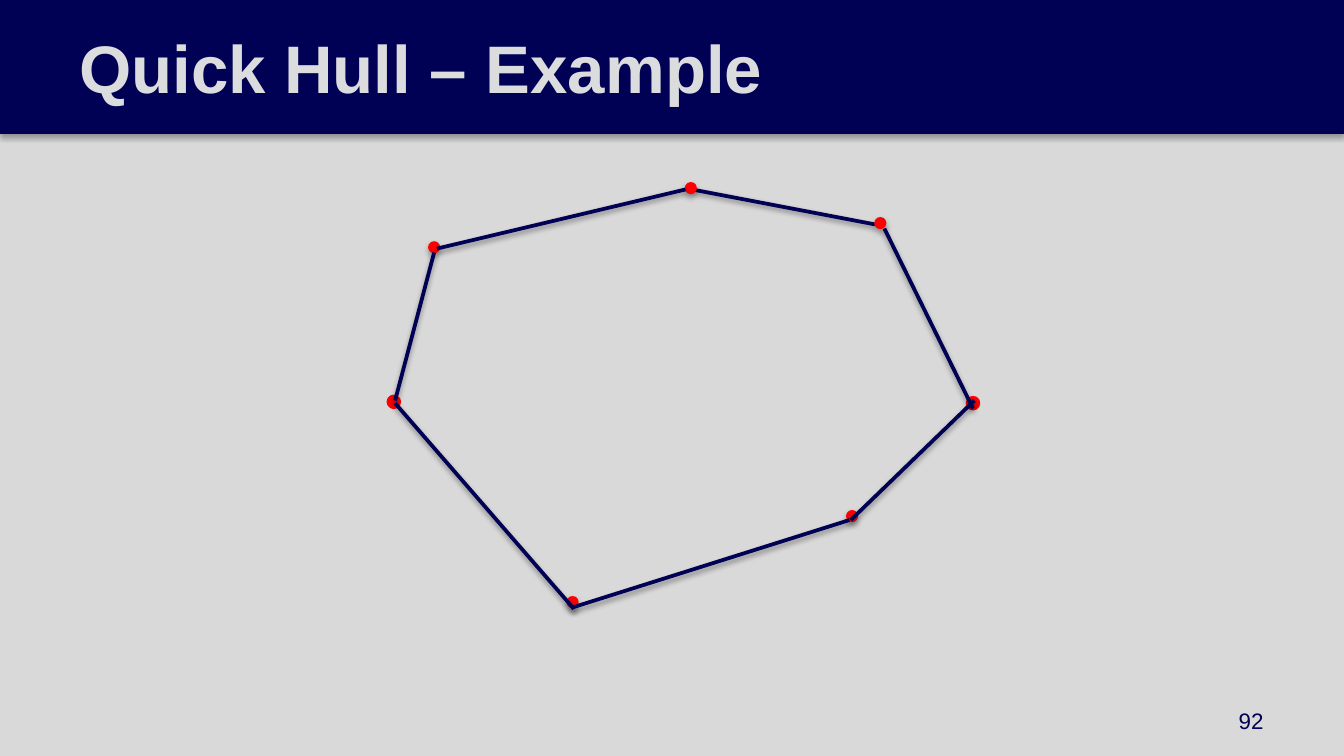
"""Build the Quick Hull example slide with its finished convex hull."""
from lxml import etree
from pptx import Presentation
from pptx.dml.color import RGBColor
from pptx.enum.shapes import MSO_CONNECTOR, MSO_SHAPE
from pptx.enum.text import MSO_ANCHOR, MSO_AUTO_SIZE, PP_ALIGN
from pptx.oxml.ns import qn
from pptx.util import Inches, Pt

STRAIGHT = MSO_CONNECTOR.STRAIGHT
RECTANGLE, OVAL = MSO_SHAPE.RECTANGLE, MSO_SHAPE.OVAL
MIDDLE = MSO_ANCHOR.MIDDLE
LEFT, RIGHT = PP_ALIGN.LEFT, PP_ALIGN.RIGHT

TITLE = "Quick Hull – Example"
PAGE_NUMBER = "92"
FONT = "Arial"
COLORS = {"background": "D9D9D9", "navy": "000054", "band_line": "000052",
          "title": "DBDCDD", "point": "FF0000", "shadow": "000000"}
WIDTH = 10
HEIGHT = WIDTH * 9 / 16
BAND_HEIGHT = 0.99
POINT_SIZE = 0.08
SHAPE_SHADOW = {"opacity": 35, "blur": 3.1, "distance": 1.8}
EDGE_SHADOW = {"opacity": 38, "blur": 3.1, "distance": 1.6}

INNER_POINTS = [(3.19, 1.8), (6.51, 1.62), (5.1, 1.36), (4.22, 4.44), (6.3, 3.8)]
EXTREME_POINTS = [(2.89, 2.95), (7.2, 2.96)]
EDGES_BELOW_POINTS = [((6.51, 1.67), (5.15, 1.41))]
EDGES_ABOVE_POINTS = [
    ((7.25, 2.98), (6.33, 3.87)),
    ((3.23, 1.88), (2.94, 2.98)),
    ((6.58, 1.7), (7.24, 3.04)),
    ((5.1, 1.41), (3.25, 1.85)),
    ((2.94, 3), (4.27, 4.53)),
    ((6.32, 3.87), (4.26, 4.52)),
]


def color(name):
    return RGBColor.from_string(COLORS[name])


def add_shadow(shape, opacity, blur, distance):
    effects = etree.SubElement(shape._element.spPr, qn("a:effectLst"))
    shadow = etree.SubElement(
        effects, qn("a:outerShdw"), blurRad=str(Pt(blur)), dist=str(Pt(distance)),
        dir="5400000", rotWithShape="0")
    shade = etree.SubElement(shadow, qn("a:srgbClr"), val=COLORS["shadow"])
    etree.SubElement(shade, qn("a:alpha"), val=str(opacity * 1000))


def add_solid(slide, kind, box, fill, line, line_width, shadow=None):
    shape = slide.shapes.add_shape(kind, *map(Inches, box))
    shape.fill.solid()
    shape.fill.fore_color.rgb = color(fill)
    shape.line.color.rgb = color(line)
    shape.line.width = Pt(line_width)
    if shadow:
        add_shadow(shape, **shadow)
    else:
        shape.shadow.inherit = False
    return shape


def add_points(slide, corners, line_width, shadow=None):
    for corner in corners:
        add_solid(slide, OVAL, (*corner, POINT_SIZE, POINT_SIZE), "point", "point",
                  line_width, shadow)


def add_edges(slide, edges):
    for start, end in edges:
        edge = slide.shapes.add_connector(STRAIGHT, *map(Inches, start + end))
        edge.line.color.rgb = color("navy")
        edge.line.width = Pt(2)
        add_shadow(edge, **EDGE_SHADOW)


def write(shape, text, size, text_color, alignment, bold=False):
    frame = shape.text_frame
    frame.text = text
    frame.word_wrap = True
    frame.auto_size = MSO_AUTO_SIZE.NONE
    frame.vertical_anchor = MIDDLE
    paragraph = frame.paragraphs[0]
    paragraph.alignment = alignment
    font = paragraph.font
    font.name, font.size, font.bold = FONT, Pt(size), bold
    font.color.rgb = color(text_color)
    return paragraph


def add_title(slide):
    band = add_solid(slide, RECTANGLE, (0, 0, WIDTH, BAND_HEIGHT), "navy",
                     "band_line", 0.75, SHAPE_SHADOW)
    title = slide.shapes.title
    title._element.addprevious(band._element)
    title.left, title.top = 0, 0
    title.width, title.height = Inches(9.03), Inches(BAND_HEIGHT)
    title.fill.solid()
    title.fill.fore_color.rgb = color("navy")
    frame = title.text_frame
    frame.margin_left = frame.margin_right = Inches(0.4)
    frame.margin_top = frame.margin_bottom = Inches(0.1)
    paragraph = write(title, TITLE, 36, "title", LEFT, bold=True)
    paragraph._p.get_or_add_pPr().set("marL", str(Inches(0.19)))


def main():
    presentation = Presentation()
    presentation.slide_width = Inches(WIDTH)
    presentation.slide_height = Inches(HEIGHT)
    slide = presentation.slides.add_slide(presentation.slide_layouts[5])
    slide.background.fill.solid()
    slide.background.fill.fore_color.rgb = color("background")

    add_title(slide)
    number = slide.shapes.add_textbox(*map(Inches, (7.17, 5.21, 2.33, 0.3)))
    write(number, PAGE_NUMBER, 12, "navy", RIGHT)

    add_edges(slide, EDGES_BELOW_POINTS)
    add_points(slide, INNER_POINTS, 0.75, SHAPE_SHADOW)
    add_points(slide, EXTREME_POINTS, 2)
    add_edges(slide, EDGES_ABOVE_POINTS)

    presentation.save("out.pptx")


if __name__ == "__main__":
    main()
